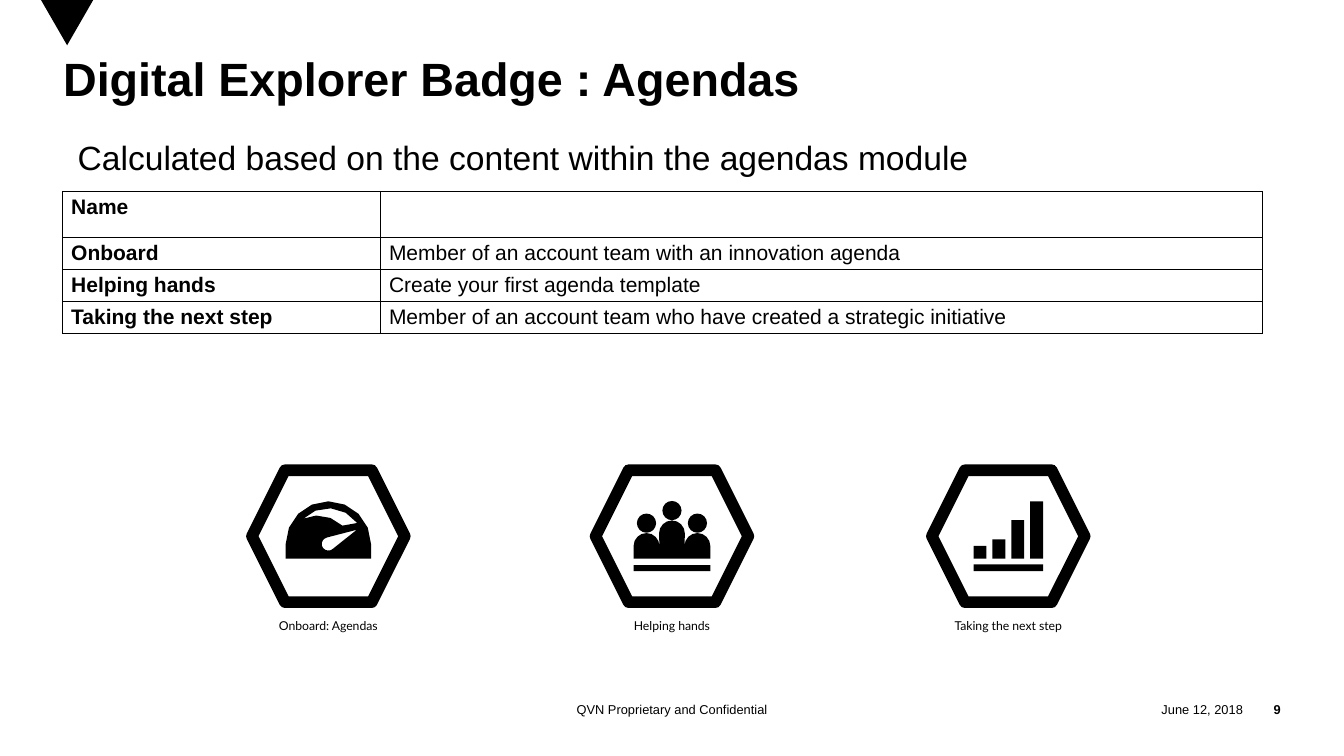
"""Build the Agendas badge slide with its criteria table and three badge icons."""
from dataclasses import dataclass
from math import cos, radians, sin
from typing import Any

from lxml.etree import SubElement
from pptx import Presentation
from pptx.dml.color import RGBColor
from pptx.enum.shapes import MSO_SHAPE as Preset
from pptx.enum.text import MSO_ANCHOR as Anchor, PP_ALIGN as Align
from pptx.oxml.ns import qn
from pptx.util import Cm, Pt

Point = tuple[float, float]
Contour = list[Point]

COLORS = {"ink": "000000", "paper": "FFFFFF"}
TITLE = {"name": "Arial", "size": Pt(40), "bold": True}
SUBTITLE = {"name": "Arial", "size": Pt(28.8)}
CELL = {"name": "Arial", "size": Pt(18), "bold": False}
FOOTER = {"name": "Arial", "size": Pt(11)}
CAPTION = {"name": "Lato", "size": Pt(10.5)}
NO_MARGINS = dict.fromkeys(("margin_left", "margin_top", "margin_right", "margin_bottom"), 0)
FOOTER_FRAME = NO_MARGINS | {"vertical_anchor": Anchor.MIDDLE, "word_wrap": True}

BADGE_WIDTH, BADGE_HEIGHT, BADGE_TOP = 4.62, 3.99, 14.22
CAPTION_WIDTH, CAPTION_TOP = 4.17, 18.57
ICON_TOP, ICON_BASE = 15.16, 1.73


@dataclass(frozen=True)
class Label:
    text: str
    box: tuple[float, float, float, float]
    font: dict[str, Any]
    frame: dict[str, Any]
    align: Align = Align.LEFT


@dataclass(frozen=True)
class Badge:
    caption: str
    center: float
    icon: list[Contour]


def color(key: str) -> RGBColor:
    """Return a palette colour."""
    return RGBColor.from_string(COLORS[key])


def apply(target: Any, values: dict[str, Any]) -> None:
    """Set each named attribute on the target."""
    for attribute, value in values.items():
        setattr(target, attribute, value)


def write(frame: Any, text: str, font: dict[str, Any], align: Align = Align.LEFT) -> None:
    """Put one formatted run of text into a frame."""
    paragraph = frame.paragraphs[0]
    paragraph.alignment = align
    run = paragraph.add_run()
    run.text = text
    apply(run.font, font)
    run.font.color.rgb = color("ink")


def draw_label(shapes: Any, label: Label) -> None:
    """Draw a text box."""
    frame = shapes.add_textbox(*map(Cm, label.box)).text_frame
    apply(frame, label.frame)
    write(frame, label.text, label.font, label.align)


def arc(x: float, y: float, radius: float, start: float, end: float) -> Contour:
    """Return points along an arc, angles in degrees clockwise from the right."""
    steps = round(abs(end - start) / 22.5)
    angles = [radians(start + (end - start) * i / steps) for i in range(steps + 1)]
    return [(x + radius * cos(a), y + radius * sin(a)) for a in angles]


def bar(left: float, top: float, right: float, bottom: float) -> Contour:
    """Return the corners of a rectangle."""
    return [(left, top), (right, top), (right, bottom), (left, bottom)]


def draw_outline(shapes: Any, contours: list[Contour], x: float, y: float) -> None:
    """Draw filled contours, offset to a position."""
    placed = [[(Cm(x + px), Cm(y + py)) for px, py in contour] for contour in contours]
    builder = shapes.build_freeform(*placed[0][0])
    for index, contour in enumerate(placed):
        if index:
            builder.move_to(*contour[0])
        builder.add_line_segments(contour[1:], close=True)
    outline = builder.convert_to_shape()
    outline.shadow.inherit = False
    outline.fill.solid()
    outline.fill.fore_color.rgb = color("ink")
    outline.line.fill.background()


def draw_badge(shapes: Any, badge: Badge) -> None:
    """Draw a hexagon, its icon and its caption as one group."""
    group = shapes.add_group_shape().shapes
    box = (badge.center - BADGE_WIDTH / 2, BADGE_TOP, BADGE_WIDTH, BADGE_HEIGHT)
    hexagon = group.add_shape(Preset.HEXAGON, *map(Cm, box))
    hexagon.shadow.inherit = False
    hexagon.fill.solid()
    hexagon.fill.fore_color.rgb = color("paper")
    hexagon.line.color.rgb = color("ink")
    hexagon.line.width = Pt(10)
    SubElement(hexagon.line._get_or_add_ln(), qn("a:round"))
    draw_outline(group, badge.icon, badge.center, ICON_TOP)
    caption_box = (badge.center - CAPTION_WIDTH / 2, CAPTION_TOP, CAPTION_WIDTH, 0.71)
    draw_label(group, Label(badge.caption, caption_box, CAPTION, {"word_wrap": True}, Align.CENTER))


def draw_border(cell: Any) -> None:
    """Give a cell thin lines on all four sides."""
    properties = cell._tc.get_or_add_tcPr()
    for side in ("lnL", "lnR", "lnT", "lnB"):
        line = SubElement(properties, qn(f"a:{side}"), w=str(Pt(1)))
        fill = SubElement(line, qn("a:solidFill"))
        SubElement(fill, qn("a:srgbClr"), val=COLORS["ink"])


def draw_criteria(shapes: Any, rows: list[tuple[str, str]], widths: list[float],
                  heights: list[float]) -> None:
    """Draw the table of badge names and criteria."""
    box = (1.9, 5.79, sum(widths), sum(heights))
    table = shapes.add_table(len(rows), len(widths), *map(Cm, box)).table
    apply(table, {"first_row": False, "horz_banding": False})
    for column, width in zip(table.columns, widths):
        column.width = Cm(width)
    for r, (texts, height) in enumerate(zip(rows, heights)):
        table.rows[r].height = Cm(height)
        for c, text in enumerate(texts):
            cell = table.cell(r, c)
            cell.margin_bottom = Cm(0.05)
            draw_border(cell)
            cell.fill.solid()
            cell.fill.fore_color.rgb = color("paper")
            if text:
                write(cell.text_frame, text, CELL | {"bold": c == 0})


GAUGE = [
    [*arc(0, 1.29, 1.29, 180, 360), (1.29, ICON_BASE), (-1.29, ICON_BASE)],
    [(0.86, 0.86), *arc(0, 1.29, 0.2, 256, 50)],
    arc(0, 1.29, 1.08, -36, -136) + arc(-0.33, 1.52, 1.09, -115, -46),
]
PEOPLE = [(-0.77, 0.66), (0, 0.28), (0.77, 0.66)]
SHOULDERS = [point for x, y in PEOPLE for point in arc(x, y + 0.69, 0.39, 180, 360)]
TEAM = [
    *(arc(x, y, 0.29, 0, 360) for x, y in PEOPLE),
    [*SHOULDERS, (1.16, ICON_BASE), (-1.16, ICON_BASE)],
    bar(-1.16, 1.93, 1.16, 2.11),
]
GROWTH = [
    *(bar(-1.05 + 0.57 * i, ICON_BASE - height, -0.66 + 0.57 * i, ICON_BASE)
      for i, height in enumerate((0.38, 0.58, 1.16, 1.73))),
    bar(-1.05, 1.91, 1.05, 2.11),
]
BADGES = [
    Badge("Onboard: Agendas", 9.93, GAUGE),
    Badge("Helping hands", 20.32, TEAM),
    Badge("Taking the next step", 30.49, GROWTH),
]
LABELS = [
    Label("June 12, 2018", (33.05, 21.06, 4.54, 0.76), FOOTER, FOOTER_FRAME, Align.RIGHT),
    Label("9", (37.59, 21.06, 1.14, 0.76), FOOTER | {"bold": True}, FOOTER_FRAME, Align.RIGHT),
    Label("QVN Proprietary and Confidential", (13.34, 21.06, 13.97, 0.76),
          FOOTER, FOOTER_FRAME, Align.CENTER),
    Label("Calculated based on the content within the agendas module",
          (2.1, 4.01, 27.69, 1.5), SUBTITLE, {"word_wrap": False}),
]
CRITERIA = [
    ("Name", ""),
    ("Onboard", "Member of an account team with an innovation agenda"),
    ("Helping hands", "Create your first agenda template"),
    ("Taking the next step", "Member of an account team who have created a strategic initiative"),
]

deck = Presentation()
apply(deck, {"slide_width": Cm(40.64), "slide_height": Cm(22.86)})
slide = deck.slides.add_slide(deck.slide_layouts[5])
heading = slide.shapes.title
apply(heading, {"left": Cm(1.91), "top": Cm(1.78), "width": Cm(36.83), "height": Cm(3.94)})
apply(heading.text_frame, NO_MARGINS | {"vertical_anchor": Anchor.TOP, "word_wrap": True})
write(heading.text_frame, "Digital Explorer Badge : Agendas", TITLE)
heading.text_frame.paragraphs[0].line_spacing = 0.85
draw_outline(slide.shapes, [[(0, 0), (0.79, 1.37), (1.58, 0)]], 1.24, 0)
for label in LABELS:
    draw_label(slide.shapes, label)
draw_criteria(slide.shapes, CRITERIA, [9.61, 26.66], [1.39, 0.97, 0.97, 0.97])
for badge in BADGES:
    draw_badge(slide.shapes, badge)
deck.save("out.pptx")
